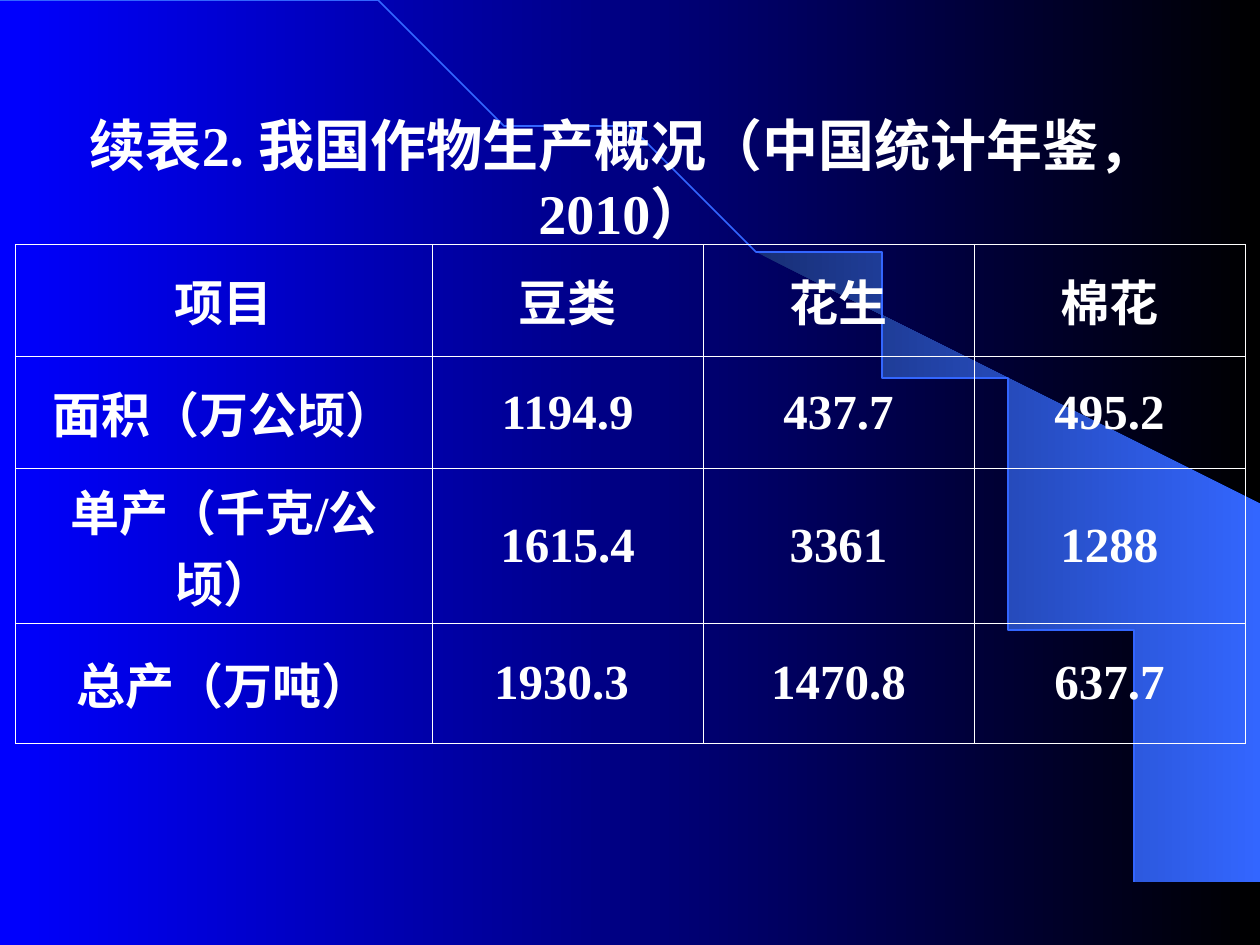
from math import asin, cos, pi, sin

from lxml.etree import SubElement
from pptx import Presentation
from pptx.dml.color import RGBColor
from pptx.enum.text import MSO_ANCHOR, PP_ALIGN
from pptx.oxml.ns import qn
from pptx.util import Inches, Pt

WHITE = "FFFFFF"
BLUE = "3366FF"


def color(code):
    return RGBColor.from_string(code)


def write(frame, text, size=28, face="Times New Roman", ink=WHITE, bold=True):
    para = frame.paragraphs[0]
    para.alignment = PP_ALIGN.CENTER
    run = para.add_run()
    run.text = text
    font = run.font
    font.size, font.name, font.bold = Pt(size), face, bold
    font.color.rgb = color(ink)


deck = Presentation()
deck.slide_width, deck.slide_height = Inches(10), Inches(7.5)
slide = deck.slides.add_slide(deck.slide_layouts[5])
shapes = slide.shapes
back = slide.background.fill
back.gradient()

# The arc is a quarter ellipse; the band fills the space to its right
wide, high = 9.2, 7.49
start = asin(5.89 / wide)
steps = 60


def trace(first, extra, closed):
    """Draw the arc from angle first to a right angle, then the extra points."""
    turns = [first + (pi / 2 - first) * i / steps for i in range(steps + 1)]
    points = [(wide * sin(t), high * (1 - cos(t))) for t in turns] + extra
    pen = shapes.build_freeform(*points[0], scale=Inches(1))
    pen.add_line_segments(points[1:], close=closed)
    shape = pen.convert_to_shape()
    shape.shadow.inherit = False
    return shape


band = trace(start, [(9.99, 7.49), (9.99, 4.23)], True)
band.line.fill.background()
band.fill.gradient()
for fill, ends in ((back, ("0000FF", "000000")), (band.fill, ("182F76", BLUE))):
    fill.gradient_angle = 0
    for stop, code, place in zip(fill.gradient_stops, ends, (0, 1)):
        stop.color.rgb = color(code)
        stop.position = place

arc = trace(0, [], False)
arc.fill.background()
arc.line.color.rgb = color(BLUE)
arc.line.width = Pt(1)

rows = [
    ("项目", "豆类", "花生", "棉花"),
    ("面积（万公顷）", "1194.9", "437.7", "495.2"),
    ("单产（千克/公顷）", "1615.4", "3361", "1288"),
    ("总产（万吨）", "1930.3 ", "1470.8", "637.7"),
]
table = shapes.add_table(
    4, 4, Inches(0.12), Inches(1.94), Inches(9.76), Inches(3.78)
).table
table.first_row = table.horz_banding = False
for col, width in zip(table.columns, (3.31, 2.15, 2.15, 2.15)):
    col.width = Inches(width)
for row, height, words in zip(table.rows, (0.89, 0.89, 1.04, 0.96), rows):
    row.height = Inches(height)
    for cell, text in zip(row.cells, words):
        cell.vertical_anchor = MSO_ANCHOR.MIDDLE
        write(cell.text_frame, text)
        props = cell._tc.get_or_add_tcPr()
        for side in ("a:lnL", "a:lnR", "a:lnT", "a:lnB"):
            edge = SubElement(props, qn(side), w=str(Pt(0.45)))
            solid = SubElement(edge, qn("a:solidFill"))
            SubElement(solid, qn("a:srgbClr"), val=WHITE)
        cell.fill.background()

title = shapes.title
title.left, title.top = Inches(0.04), Inches(0.83)
title.width, title.height = Inches(9.8), Inches(1.17)
title.text_frame.word_wrap = True
title.text_frame.vertical_anchor = MSO_ANCHOR.TOP
write(title.text_frame, "续表2. 我国作物生产概况（中国统计年鉴，2010）", size=32)
shapes.element.append(title.element)  # bring to the front

deck.save("out.pptx")
